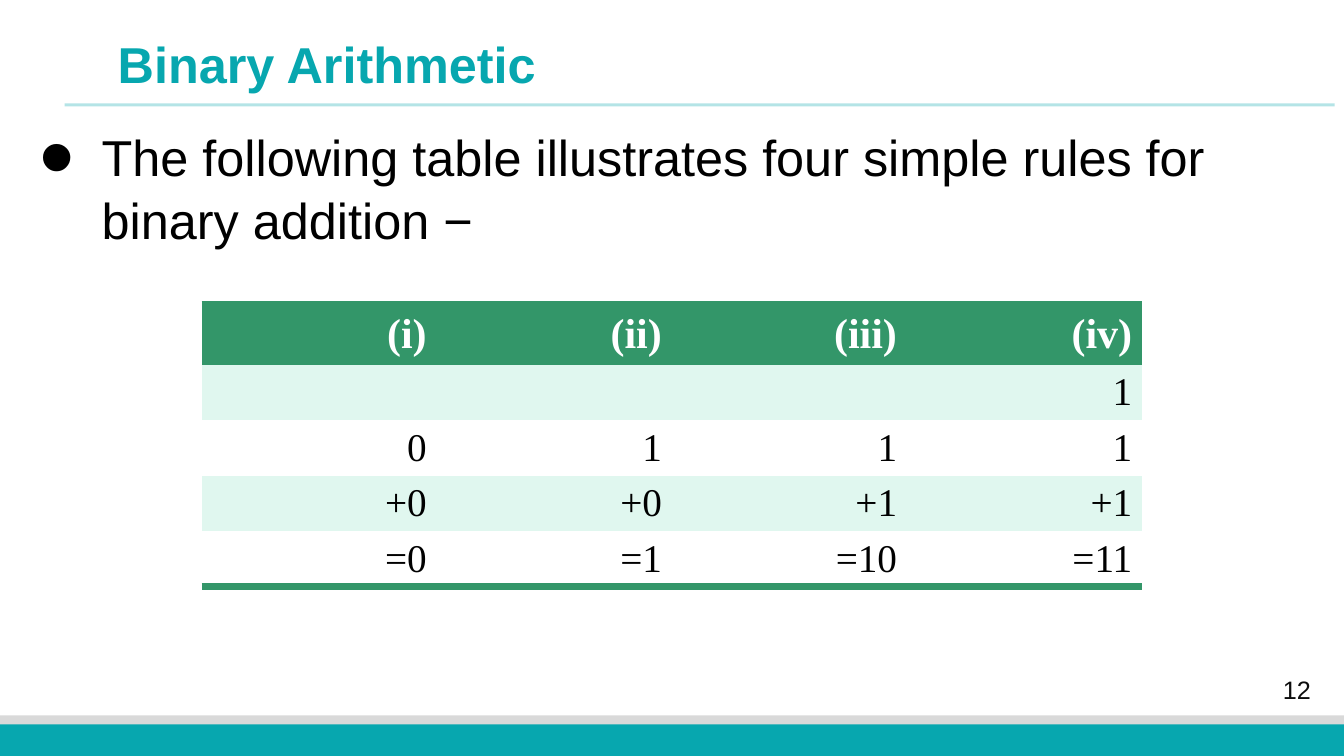
from dataclasses import dataclass

import lxml.etree
import pptx
import pptx.dml.color
import pptx.enum.shapes
import pptx.enum.text
import pptx.oxml
import pptx.oxml.ns
import pptx.util

Pt = pptx.util.Pt
Align = pptx.enum.text.PP_ALIGN
Anchor = pptx.enum.text.MSO_ANCHOR
TEAL, GREEN, MINT, WHITE = "07A7AF", "339669", "E0F7EF", "FFFFFF"
NO_STYLE = "{2D5ABB26-0587-4C30-8999-92F81FD0307C}"


@dataclass(frozen=True)
class Band:
    top: float
    height: float
    color: str


@dataclass(frozen=True)
class Style:
    size: float
    color: str
    font: str = "Arial"
    bold: bool = False


@dataclass(frozen=True)
class Caption:
    words: str
    left: float
    top: float
    width: float
    height: float
    style: Style
    align: Align = Align.LEFT
    anchor: Anchor = Anchor.TOP
    line_spacing: float | pptx.util.Length = 1.0
    bulleted: bool = False


@dataclass(frozen=True)
class Row:
    entries: tuple[str, ...]
    height: float
    fill: str
    style: Style
    border: str = ""


def rgb(color: str) -> pptx.dml.color.RGBColor:
    return pptx.dml.color.RGBColor.from_string(color)


def make_element(tag: str, parent=None, **attributes: str):
    element = lxml.etree.Element(pptx.oxml.ns.qn(tag)) if parent is None else \
        lxml.etree.SubElement(parent, pptx.oxml.ns.qn(tag))
    for key, value in attributes.items():
        element.set(key, value)
    return element


def add_words(paragraph, words: str, style: Style) -> None:
    run = paragraph.add_run()
    run.text = words
    run.font.name = style.font
    run.font.size = Pt(style.size)
    run.font.bold = style.bold
    run.font.color.rgb = rgb(style.color)


def draw_band(slide, band: Band, width: int) -> None:
    strip = slide.shapes.add_shape(
        pptx.enum.shapes.MSO_SHAPE.RECTANGLE, 0, Pt(band.top), width, Pt(band.height))
    strip.shadow.inherit = False
    strip.fill.solid()
    strip.fill.fore_color.rgb = rgb(band.color)
    strip.line.fill.background()


def draw_title_rule(slide) -> None:
    rule = slide.shapes.add_connector(
        pptx.enum.shapes.MSO_CONNECTOR.STRAIGHT, Pt(46.1), Pt(74.9), Pt(953.3), Pt(74.9))
    rule.line.width = Pt(2.25)
    rule.line.color.rgb = rgb(TEAL)
    properties = rule._element.spPr
    tint = properties.find(".//" + pptx.oxml.ns.qn("a:srgbClr"))
    make_element("a:alpha", tint, val="30000")
    make_element("a:effectLst", properties)


def draw_caption(slide, caption: Caption) -> None:
    box = slide.shapes.add_textbox(
        Pt(caption.left), Pt(caption.top), Pt(caption.width), Pt(caption.height))
    frame = box.text_frame
    frame.word_wrap = True
    frame.vertical_anchor = caption.anchor
    paragraph = frame.paragraphs[0]
    paragraph.alignment = caption.align
    paragraph.line_spacing = caption.line_spacing
    if caption.bulleted:
        properties = paragraph._p.get_or_add_pPr()
        properties.set("marL", str(Pt(44.64)))
        properties.set("indent", str(Pt(-54)))
        make_element("a:buSzPct", properties, val="200000")
        make_element("a:buFont", properties, typeface="Arial")
        make_element("a:buChar", properties, char="•")
    add_words(paragraph, caption.words, caption.style)


def add_border(cell, tag: str) -> None:
    border = make_element(tag, w=str(Pt(6)))
    make_element("a:srgbClr", make_element("a:solidFill", border), val=GREEN)
    cell._tc.get_or_add_tcPr().insert(0, border)


def draw_table(slide, rows: list[Row], left: float, top: float, column_width: float) -> None:
    columns = len(rows[0].entries)
    table = slide.shapes.add_table(
        len(rows), columns, Pt(left), Pt(top), Pt(column_width * columns),
        Pt(sum(row.height for row in rows))).table
    table.horz_banding = False
    table._tbl.tblPr.find(pptx.oxml.ns.qn("a:tableStyleId")).text = NO_STYLE
    for row_index, row in enumerate(rows):
        table.rows[row_index].height = Pt(row.height)
        for column_index, entry in enumerate(row.entries):
            cell = table.cell(row_index, column_index)
            cell.margin_top = cell.margin_bottom = Pt(3)
            cell.vertical_anchor = Anchor.MIDDLE
            cell.fill.solid()
            cell.fill.fore_color.rgb = rgb(row.fill)
            if row.border:
                add_border(cell, row.border)
            if entry:
                paragraph = cell.text_frame.paragraphs[0]
                paragraph.alignment = Align.RIGHT
                add_words(paragraph, entry, row.style)


def main() -> None:
    deck = pptx.Presentation()
    deck.slide_width, deck.slide_height = Pt(960), Pt(540)
    slide = deck.slides.add_slide(deck.slide_layouts[6])

    for band in (Band(511, 29, "D9D9D9"), Band(517.5, 22.5, TEAL)):
        draw_band(slide, band, deck.slide_width)
    draw_title_rule(slide)

    captions = [
        Caption("12", 893.5, 478.8, 65.5, 28, Style(18, "0D0D0D"), Align.CENTER, Anchor.MIDDLE),
        Caption("Binary Arithmetic", 77, 25.2, 818.6, 34.6, Style(36, TEAL, bold=True),
                line_spacing=0.9),
        Caption("The following table illustrates four simple rules for binary addition −",
                20.9, 85, 900.7, 97.2, Style(36, "000000"), line_spacing=Pt(45), bulleted=True),
    ]
    for caption in captions:
        draw_caption(slide, caption)

    heading = Style(30, WHITE, "Times New Roman", True)
    digits = Style(28, "000000", "Times New Roman")
    addition_rules = [
        Row(("(i)", "(ii)", "(iii)", "(iv)"), 43.2, GREEN, heading, "a:lnT"),
        Row(("", "", "", "1"), 38.2, MINT, digits),
        Row(("0", "1", "1", "1"), 38.2, WHITE, digits),
        Row(("+0", "+0", "+1", "+1"), 38.2, MINT, digits),
        Row(("=0", "=1", "=10", "=11"), 38.2, WHITE, digits, "a:lnB"),
    ]
    draw_table(slide, addition_rules, left=144, top=217.4, column_width=168)
    deck.save("out.pptx")


if __name__ == "__main__":
    main()
